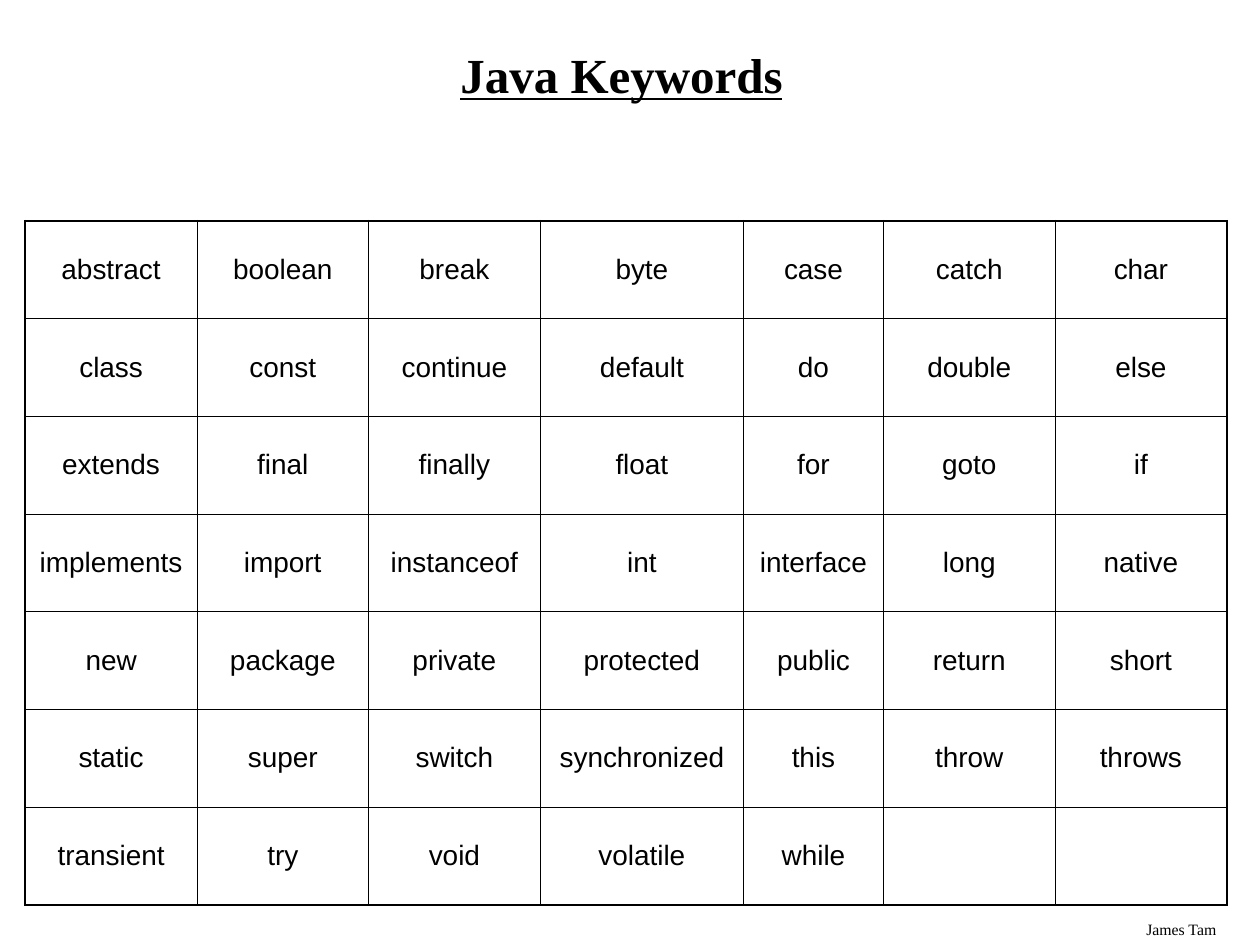
from pptx import Presentation
from pptx import util as u
from pptx.dml.color import RGBColor
from pptx.enum import text as t
from lxml import etree

# Content
TITLE = "Java Keywords"
AUTHOR = "James Tam"
WORDS = [
    "abstract boolean break byte case catch char",
    "class const continue default do double else",
    "extends final finally float for goto if",
    "implements import instanceof int interface long native",
    "new package private protected public return short",
    "static super switch synchronized this throw throws",
    "transient try void volatile while",
]

# Formats and sizes (cm)
INK = "000000"
HEAD = {"name": "Times New Roman", "size": u.Pt(28), "bold": True, "underline": True}
BODY = {"name": "Arial", "size": u.Pt(16), "bold": False}
FOOT = {"name": "Times New Roman", "size": u.Pt(9)}
COLS = [3.46, 3.46, 3.46, 4.1, 2.82, 3.46, 3.46]
ROW = 1.97
THIN, THICK = 0.45, 1.08
NS = "http://schemas.openxmlformats.org/drawingml/2006/main"


def color(code):
    return RGBColor.from_string(code)


def write(para, words, look, align):
    para.text = words
    para.alignment = align
    for key, val in look.items():
        setattr(para.font, key, val)
    para.font.color.rgb = color(INK)


def border(cell, side, width):
    props = cell._tc.get_or_add_tcPr()
    line = etree.SubElement(props, f"{{{NS}}}ln{side}", w=str(u.Pt(width)))
    fill = etree.SubElement(line, f"{{{NS}}}solidFill")
    etree.SubElement(fill, f"{{{NS}}}srgbClr", val=INK)


def main():
    deck = Presentation()
    deck.slide_width, deck.slide_height = u.Cm(25.4), u.Cm(19.05)
    slide = deck.slides.add_slide(deck.slide_layouts[5])

    # Title
    title = slide.shapes.title
    title.left, title.top = u.Cm(1.19), u.Cm(0.84)
    title.width, title.height = u.Cm(22.68), u.Cm(1.45)
    title.text_frame.vertical_anchor = t.MSO_ANCHOR.MIDDLE
    para = title.text_frame.paragraphs[0]
    write(para, TITLE, HEAD, t.PP_ALIGN.CENTER)
    para.line_spacing = 0.9

    # Keyword table
    rows, cols = len(WORDS), len(COLS)
    frame = slide.shapes.add_table(rows, cols, u.Cm(0.51), u.Cm(4.45),
                                   u.Cm(sum(COLS)), u.Cm(ROW * rows))
    table = frame.table
    table.first_row = table.horz_banding = False
    for col, width in zip(table.columns, COLS):
        col.width = u.Cm(width)
    for r, line in enumerate(WORDS):
        table.rows[r].height = u.Cm(ROW)
        words = line.split()
        for c in range(cols):
            cell = table.cell(r, c)
            cell.vertical_anchor = t.MSO_ANCHOR.MIDDLE
            outer = {"L": c == 0, "R": c == cols - 1, "T": r == 0, "B": r == rows - 1}
            for side, edge in outer.items():
                border(cell, side, THICK if edge else THIN)
            cell.fill.background()
            if c < len(words):
                write(cell.text_frame.paragraphs[0], words[c], BODY, t.PP_ALIGN.CENTER)

    # Author
    box = slide.shapes.add_textbox(u.Cm(22.86), u.Cm(18.42), u.Cm(2.54), u.Cm(0.63))
    box.text_frame.word_wrap = True
    write(box.text_frame.paragraphs[0], AUTHOR, FOOT, t.PP_ALIGN.LEFT)

    deck.save("out.pptx")


if __name__ == "__main__":
    main()
